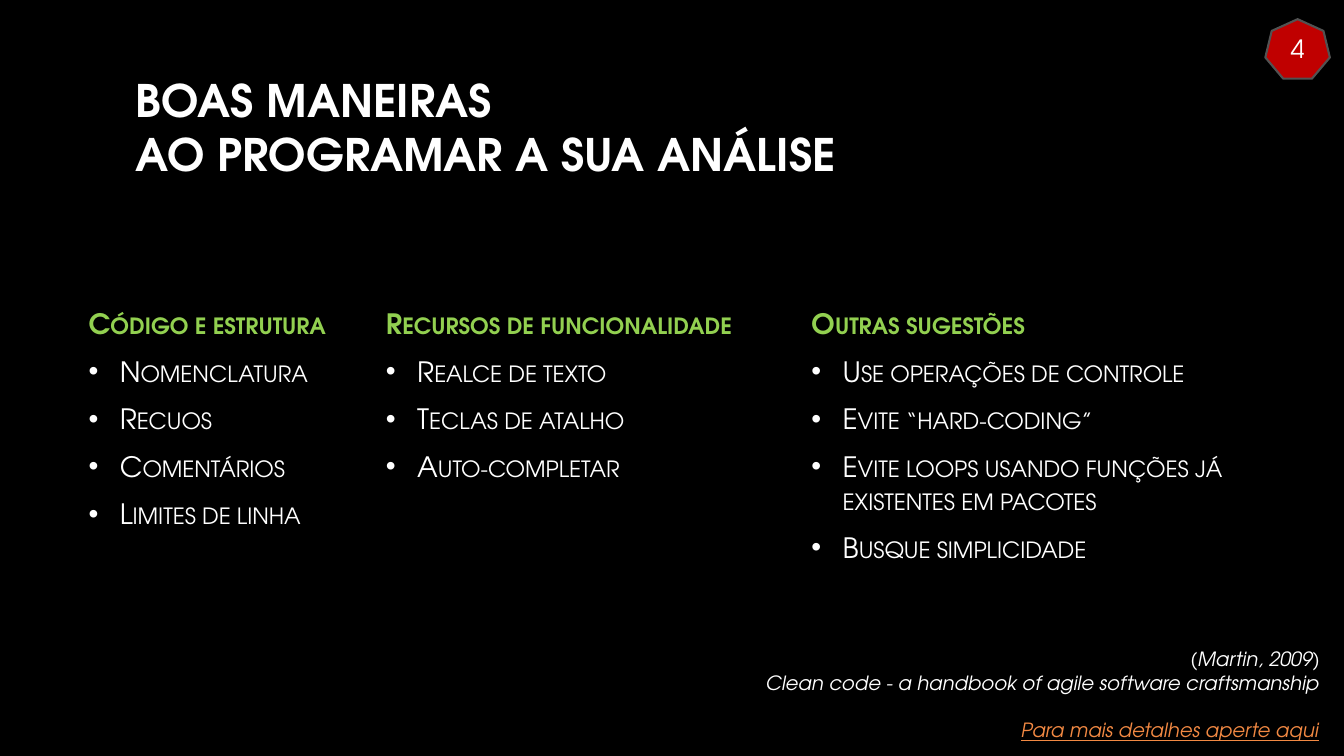
from dataclasses import dataclass, field

from lxml.etree import SubElement
from pptx import Presentation
from pptx.dml.color import RGBColor as RGB
from pptx.enum.shapes import MSO_SHAPE as SHAPE
from pptx.enum.text import MSO_ANCHOR as ANCHOR, PP_ALIGN as ALIGN
from pptx.oxml.ns import qn
from pptx.util import Inches, Pt

FONT = "TeX Gyre Adventor"
COLORS = {
    "background": "000000",
    "text": "FFFFFF",
    "heading": "92D050",
    "link": "F28943",
    "badge": "C00000",
    "badge_line": "525252",
}
COLUMN_TOP, COLUMN_HEIGHT = 2.99, 2.91
BULLET_INDENT = 0.31


@dataclass
class Column:
    left: float
    width: float
    heading: str
    items: list[str]


@dataclass
class Label:
    left: float
    top: float
    width: float
    height: float
    lines: list[str]
    size: float
    color: str = "text"
    align: ALIGN = ALIGN.RIGHT
    anchor: ANCHOR = ANCHOR.MIDDLE
    style: dict = field(default_factory=dict)


COLUMNS = [
    Column(0.78, 2.73, "Código e estrutura",
           ["Nomenclatura", "Recuos", "Comentários", "Limites de linha"]),
    Column(3.73, 3.99, "Recursos de funcionalidade",
           ["Realce de texto", "Teclas de atalho", "Auto-completar"]),
    Column(7.95, 4.42, "Outras sugestões",
           ["Use operações de controle", "Evite “hard-coding”",
            "Evite loops usando funções já existentes em pacotes",
            "Busque simplicidade"]),
]
LABELS = [
    Label(1.25, 0.67, 10.83, 2.08,
          ["BOAS MANEIRAS", "AO PROGRAMAR A SUA ANÁLISE"], 32,
          align=ALIGN.LEFT, anchor=ANCHOR.TOP, style={"bold": True}),
    Label(4.51, 6.4, 8.68, 0.51,
          ["(Martin, 2009)",
           "Clean code - a handbook of agile software craftsmanship"], 14,
          style={"italic": True}),
    Label(8.18, 7.07, 5, 0.33, ["Para mais detalhes aperte aqui"], 14, "link",
          style={"italic": True, "underline": True}),
]


def rgb(name: str) -> RGB:
    return RGB.from_string(COLORS[name])


def add_run(p, text: str, size: float, color: str, **style):
    r = p.add_run()
    r.text = text
    for name, value in {"name": FONT, "size": Pt(size), **style}.items():
        setattr(r.font, name, value)
    r.font.color.rgb = rgb(color)
    return r


def add_paragraph(tf, first: bool, align: ALIGN):
    """Return the frame's own paragraph first, then new ones."""
    p = tf.paragraphs[0] if first else tf.add_paragraph()
    p.alignment = align
    return p


def add_box(s, preset: SHAPE, at: tuple, fill: str, line: str, anchor: ANCHOR):
    sp = s.shapes.add_shape(preset, *map(Inches, at))
    sp.shadow.inherit = False
    sp.fill.solid()
    sp.fill.fore_color.rgb = rgb(fill)
    sp.line.color.rgb = rgb(line)
    sp.line.width = Pt(1.5)
    sp.text_frame.word_wrap = True
    sp.text_frame.vertical_anchor = anchor
    return sp


def add_bullet(p) -> None:
    pPr = p._p.get_or_add_pPr()
    pPr.set("marL", str(Inches(BULLET_INDENT)))
    pPr.set("indent", str(-Inches(BULLET_INDENT)))
    color = SubElement(pPr, qn("a:buClr"))
    SubElement(color, qn("a:srgbClr"), val=COLORS["text"])
    SubElement(pPr, qn("a:buFont"), typeface="Arial")
    SubElement(pPr, qn("a:buChar"), char="•")


def add_column(s, column: Column) -> None:
    at = (column.left, COLUMN_TOP, column.width, COLUMN_HEIGHT)
    sp = add_box(s, SHAPE.RECTANGLE, at, "background", "background", ANCHOR.TOP)
    for i, text in enumerate([column.heading, *column.items]):
        is_heading = i == 0
        p = add_paragraph(sp.text_frame, is_heading, ALIGN.LEFT)
        p.space_after = Pt(6)
        if not is_heading:
            p.space_before = Pt(4)
            add_bullet(p)
        r = add_run(p, text, 20, "heading" if is_heading else "text", bold=is_heading)
        r._r.get_or_add_rPr().set("cap", "small")


def add_label(s, label: Label) -> None:
    at = (label.left, label.top, label.width, label.height)
    tf = s.shapes.add_textbox(*map(Inches, at)).text_frame
    tf.word_wrap = True
    tf.vertical_anchor = label.anchor
    for i, line in enumerate(label.lines):
        p = add_paragraph(tf, i == 0, label.align)
        add_run(p, line, label.size, label.color, **label.style)


def add_badge(s, number: str) -> None:
    sp = add_box(s, SHAPE.HEPTAGON, (12.55, 0.19, 0.64, 0.59),
                 "badge", "badge_line", ANCHOR.MIDDLE)
    p = add_paragraph(sp.text_frame, True, ALIGN.CENTER)
    add_run(p, number, 18, "text")


def main() -> None:
    prs = Presentation()
    prs.slide_width, prs.slide_height = Inches(13.33), Inches(7.5)
    s = prs.slides.add_slide(prs.slide_layouts[6])
    s.background.fill.solid()
    s.background.fill.fore_color.rgb = rgb("background")
    for column in COLUMNS:
        add_column(s, column)
    for label in LABELS:
        add_label(s, label)
    add_badge(s, "4")
    prs.save("out.pptx")


if __name__ == "__main__":
    main()
